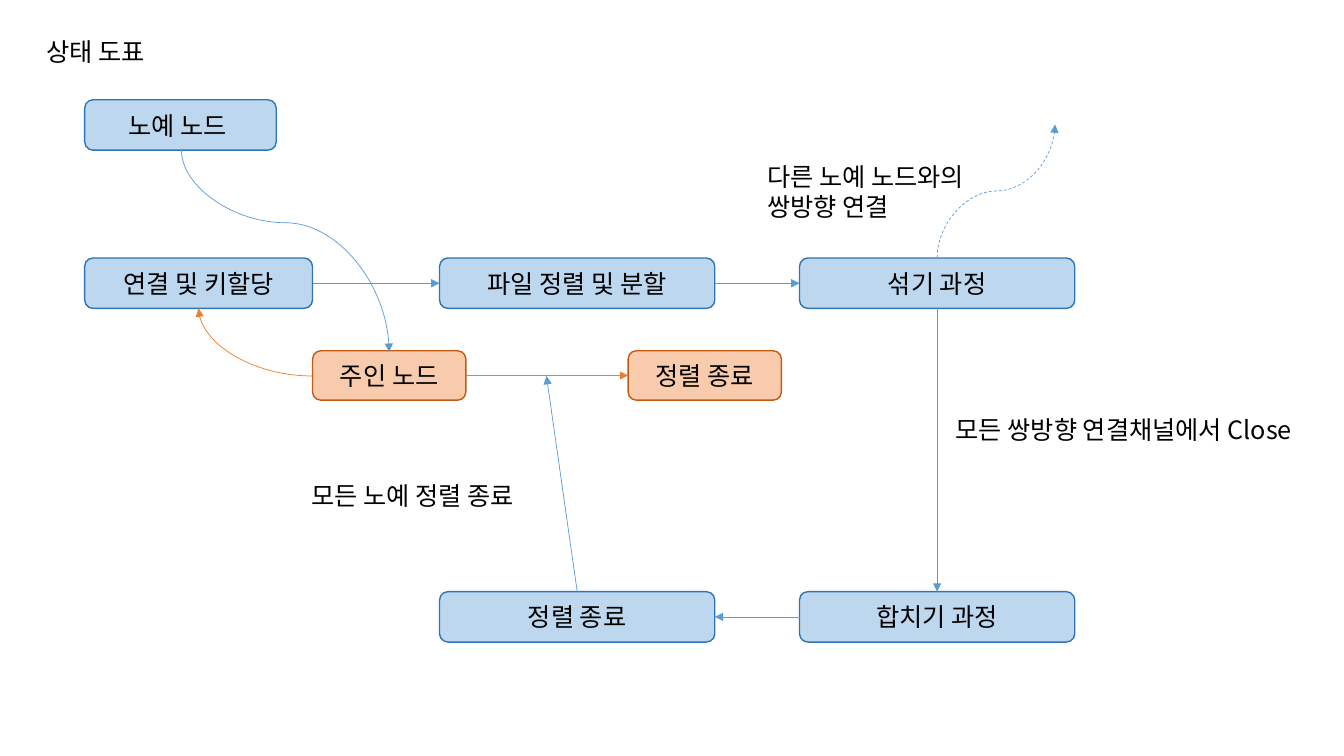
import pptx
import pptx.util
import pptx.dml.color
import pptx.enum.dml
import pptx.enum.shapes
import pptx.enum.text
import pptx.oxml
import pptx.oxml.ns

Inches = pptx.util.Inches
Pt = pptx.util.Pt
ALIGN = pptx.enum.text.PP_ALIGN
ANCHOR = pptx.enum.text.MSO_ANCHOR
CONNECTOR = pptx.enum.shapes.MSO_CONNECTOR
FONT = "Noto Sans CJK KR"
COLORS = {
    "text": "000000",
    "slave_fill": "BDD7EE", "slave_line": "2E75B6", "slave_arrow": "5B9BD5",
    "master_fill": "F8CBAD", "master_line": "C55A11", "master_arrow": "ED7D31",
}
TOP, LEFT, BOTTOM, RIGHT = range(4)


def rgb(name):
    return pptx.dml.color.RGBColor.from_string(COLORS[name])


def add_xml(parent, tag, **attrs):
    element = pptx.oxml.parse_xml(f"<a:{tag} {pptx.oxml.ns.nsdecls('a')}/>")
    for key, value in attrs.items():
        element.set(key, value)
    parent.append(element)


def write(sp, text, align=ALIGN.LEFT, anchor=ANCHOR.TOP):
    tf = sp.text_frame
    tf.word_wrap = True
    tf.vertical_anchor = anchor
    p = tf.paragraphs[0]
    p.text = text
    p.alignment = align
    p.line_spacing = 1.0
    p.font.size = Pt(18)
    p.font.color.rgb = rgb("text")
    p.font.name = FONT
    add_xml(p._p.pPr.find(pptx.oxml.ns.qn("a:defRPr")), "ea", typeface=FONT)


def add_title(s, text, left, top, width, height):
    sp = s.shapes.title
    sp.left, sp.top = Inches(left), Inches(top)
    sp.width, sp.height = Inches(width), Inches(height)
    write(sp, text)
    sp.text_frame.auto_size = pptx.enum.text.MSO_AUTO_SIZE.NONE


def add_label(s, text, left, top, width, height):
    sp = s.shapes.add_textbox(Inches(left), Inches(top), Inches(width), Inches(height))
    write(sp, text)
    sp.text_frame.auto_size = pptx.enum.text.MSO_AUTO_SIZE.SHAPE_TO_FIT_TEXT


def add_state(s, text, left, top, width, height=0.5, role="slave"):
    sp = s.shapes.add_shape(
        pptx.enum.shapes.MSO_SHAPE.ROUNDED_RECTANGLE,
        Inches(left), Inches(top), Inches(width), Inches(height))
    sp.shadow.inherit = False
    sp.fill.solid()
    sp.fill.fore_color.rgb = rgb(role + "_fill")
    sp.line.color.rgb = rgb(role + "_line")
    sp.line.width = Pt(1)
    write(sp, text, ALIGN.CENTER, ANCHOR.MIDDLE)
    return sp


def add_arrow(s, kind, x1, y1, x2, y2, role="slave"):
    line = s.shapes.add_connector(kind, Inches(x1), Inches(y1), Inches(x2), Inches(y2))
    line.line.color.rgb = rgb(role + "_arrow")
    line.line.width = Pt(0.5)
    add_xml(line.line._get_or_add_ln(), "tailEnd", type="triangle")
    add_xml(line._element.spPr, "effectLst")
    return line


def link(s, start, start_site, end, end_site, role="slave"):
    line = add_arrow(s, CONNECTOR.STRAIGHT, 0, 0, 1, 1, role)
    line.begin_connect(start, start_site)
    line.end_connect(end, end_site)


def add_curve(s, left, top, width, height, rotation, flips="",
              preset="curvedConnector3", bend=None, role="slave"):
    line = add_arrow(s, CONNECTOR.CURVE, left, top, left + width, top + height, role)
    spPr = line._element.spPr
    spPr.xfrm.set("rot", str(rotation * 60000))
    for axis in flips:
        spPr.xfrm.set("flip" + axis, "1")
    geometry = spPr.find(pptx.oxml.ns.qn("a:prstGeom"))
    geometry.set("prst", preset)
    if bend is not None:
        guides = geometry.find(pptx.oxml.ns.qn("a:avLst"))
        add_xml(guides, "gd", name="adj1", fmla=f"val {round(bend * 100000)}")
    return line


def main():
    prs = pptx.Presentation()
    prs.slide_width, prs.slide_height = Inches(13.33), Inches(7.5)
    s = prs.slides.add_slide(prs.slide_layouts.get_by_name("Title Only"))
    add_title(s, "상태 도표", 0.36, 0.31, 7.65, 0.4)

    col1, col2, col3 = 0.84, 4.36, 7.93
    upper, lower, wide = 2.56, 5.87, 2.73
    add_state(s, "노예 노드 ", col1, 0.99, 1.9)
    assign = add_state(s, "연결 및 키할당", col1, upper, 2.26)
    split = add_state(s, "파일 정렬 및 분할", col2, upper, wide)
    shuffle = add_state(s, "섞기 과정", col3, upper, wide)
    merge = add_state(s, "합치기 과정", col3, lower, wide)
    slave_done = add_state(s, "정렬 종료", col2, lower, wide)
    master = add_state(s, "주인 노드", 3.1, 3.48, 1.52, 0.49, "master")
    master_done = add_state(s, "정렬 종료", 6.23, 3.48, 1.52, 0.49, "master")

    link(s, assign, RIGHT, split, LEFT)
    link(s, split, RIGHT, shuffle, LEFT)
    link(s, shuffle, BOTTOM, merge, TOP)
    link(s, merge, LEFT, slave_done, RIGHT)
    link(s, master, RIGHT, master_done, LEFT, "master")
    report = add_arrow(s, CONNECTOR.STRAIGHT, 5.73, lower, 5.42, 3.73)
    report.begin_connect(slave_done, TOP)

    peer = add_curve(s, 9.22, 1.31, 1.32, 1.17, 90, "HV")
    peer.line.dash_style = pptx.enum.dml.MSO_LINE.DASH
    add_curve(s, 1.83, 1.46, 2, 2.06, 270, "H", bend=0.36)
    add_curve(s, 1.97, 3.06, 1.13, 0.67, 180, preset="curvedConnector2", role="master")

    add_label(s, "다른 노예 노드와의 쌍방향 연결", 7.51, 1.55, 2.39, 0.71)
    add_label(s, "모든 쌍방향 연결채널에서 Close", 9.38, 4.06, 3.96, 0.4)
    add_label(s, "모든 노예 정렬 종료", 2.99, 4.72, 2.53, 0.4)
    prs.save("out.pptx")


main()
